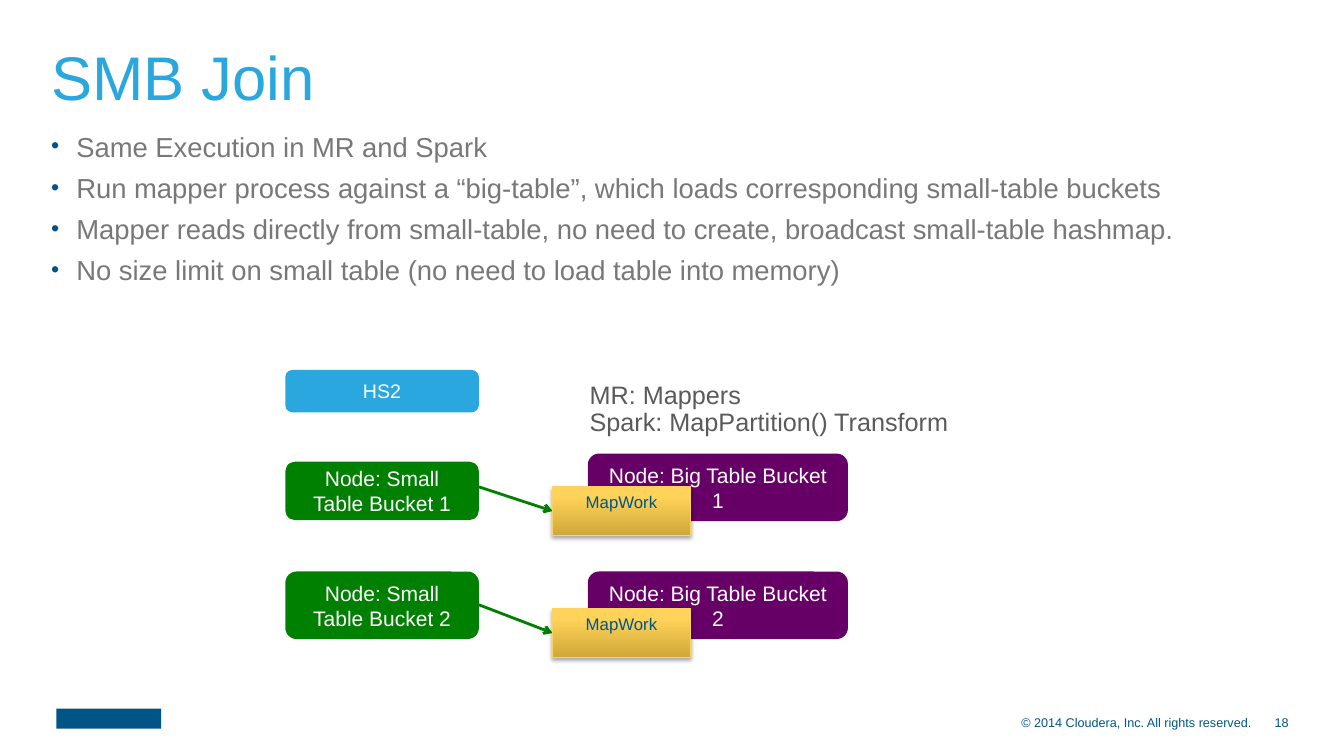
from copy import deepcopy

from lxml import etree
from pptx import Presentation
from pptx.dml.color import RGBColor
from pptx.enum.dml import MSO_LINE
from pptx.enum.shapes import MSO_CONNECTOR, MSO_SHAPE
from pptx.enum.text import MSO_ANCHOR, PP_ALIGN
from pptx.oxml.ns import qn
from pptx.util import Inches, Pt

ROUNDED, RECTANGLE = MSO_SHAPE.ROUNDED_RECTANGLE, MSO_SHAPE.RECTANGLE
STRAIGHT = MSO_CONNECTOR.STRAIGHT
SOLID = MSO_LINE.SOLID
LEFT, CENTER, RIGHT = PP_ALIGN.LEFT, PP_ALIGN.CENTER, PP_ALIGN.RIGHT
TOP, MIDDLE, BOTTOM = MSO_ANCHOR.TOP, MSO_ANCHOR.MIDDLE, MSO_ANCHOR.BOTTOM

NAVY = RGBColor(0x00, 0x55, 0x86)
SKY = RGBColor(0x29, 0xA7, 0xDE)
GREY = RGBColor(0x78, 0x78, 0x78)
DARK_GREY = RGBColor(0x5A, 0x5A, 0x5A)
GREEN = RGBColor(0x00, 0x80, 0x00)
PURPLE = RGBColor(0x66, 0x00, 0x66)
WHITE = RGBColor(0xFF, 0xFF, 0xFF)
GOLD_LINE = RGBColor(0xFD, 0xD3, 0x5E)
GOLD_STOPS = [
    (0, RGBColor(0xD0, 0xA8, 0x39)),
    (0.8, RGBColor(0xFF, 0xD3, 0x59)),
    (1, RGBColor(0xFF, 0xD4, 0x5B)),
]

BULLETS = [
    "Same Execution in MR and Spark",
    "Run mapper process against a “big-table”, which loads corresponding small-table buckets",
    "Mapper reads directly from small-table, no need to create, broadcast small-table hashmap.",
    "No size limit on small table (no need to load table into memory)",
]


def apply(target, values):
    for name, value in values.items():
        setattr(target, name, value)


def add_xml(parent, tag, **attributes):
    return etree.SubElement(parent, qn(tag), attributes)


class SlideBuilder:
    FONT = "Arial"

    def __init__(self, slide):
        self.shapes = slide.shapes

    def fill_text(self, frame, lines, size, color, align=LEFT, bullets=False,
                  paragraph_format=None, **frame_format):
        apply(frame, {"word_wrap": True, **frame_format})
        for index, line in enumerate(lines):
            paragraph = frame.add_paragraph() if index else frame.paragraphs[0]
            apply(paragraph, {"alignment": align, **(paragraph_format or {})})
            if index == 0:
                paragraph.space_before = Pt(0)
            if bullets:
                self.bullet(paragraph)
            run = paragraph.add_run()
            run.text = line
            apply(run.font, {"name": self.FONT, "size": Pt(size)})
            run.font.color.rgb = color

    def bullet(self, paragraph):
        properties = paragraph._p.get_or_add_pPr()
        properties.set("marL", str(Inches(0.25)))
        properties.set("indent", str(Inches(-0.25)))
        color = add_xml(properties, "a:buClr")
        add_xml(color, "a:srgbClr", val=str(NAVY))
        add_xml(properties, "a:buSzPct", val="85000")
        add_xml(properties, "a:buFont", typeface=self.FONT)
        add_xml(properties, "a:buChar", char="•")

    def text(self, place, lines, size, color, **text_format):
        box = self.shapes.add_textbox(*map(Inches, place))
        self.fill_text(box.text_frame, lines, size, color, **text_format)

    def plain(self, kind, place, color):
        shape = self.shapes.add_shape(kind, *map(Inches, place))
        shape.shadow.inherit = False
        shape.fill.solid()
        shape.fill.fore_color.rgb = color
        shape.line.fill.background()
        return shape

    def node(self, place, label, color, size=15):
        node = self.plain(ROUNDED, place, color)
        self.fill_text(node.text_frame, [label], size, WHITE, align=CENTER,
                       vertical_anchor=MIDDLE)

    def gold_card(self, place, label):
        card = self.plain(RECTANGLE, place, GOLD_LINE)
        card.line.color.rgb = GOLD_LINE
        card.line.width = Pt(0.75)
        # Three-stop gradient, dark at the bottom
        card.fill.gradient()
        card.fill.gradient_angle = 90
        properties = card._element.spPr
        stop_list = properties.find(".//" + qn("a:gsLst"))
        stop_list.append(deepcopy(stop_list[0]))
        for stop, (position, color) in zip(card.fill.gradient_stops, GOLD_STOPS):
            stop.position = position
            stop.color.rgb = color
        # Soft shadow below
        shadow = add_xml(properties.find(qn("a:effectLst")), "a:outerShdw",
                         blurRad=str(Pt(3.1)), dist=str(Pt(1.8)),
                         dir="5400000", rotWithShape="0")
        shade = add_xml(shadow, "a:srgbClr", val="000000")
        add_xml(shade, "a:alpha", val="35000")
        self.fill_text(card.text_frame, [label], 12, NAVY, align=CENTER,
                       vertical_anchor=TOP)

    def arrow(self, start, end, color):
        arrow = self.shapes.add_connector(STRAIGHT, *map(Inches, start + end))
        apply(arrow.line, {"width": Pt(2), "dash_style": SOLID})
        arrow.line.color.rgb = color
        properties = arrow._element.spPr
        add_xml(properties.find(qn("a:ln")), "a:tailEnd", type="arrow")
        add_xml(properties, "a:effectLst")


def main():
    presentation = Presentation()
    presentation.slide_width = Inches(13.33)
    presentation.slide_height = Inches(7.5)
    page = SlideBuilder(presentation.slides.add_slide(presentation.slide_layouts[6]))

    # Footer
    page.plain(RECTANGLE, (0.56, 7.03, 1.04, 0.2), NAVY)
    footer_format = {"align": RIGHT, "vertical_anchor": MIDDLE, "margin_left": 0,
                     "margin_right": 0, "margin_top": 0, "margin_bottom": 0}
    page.text((12.41, 7.06, 0.37, 0.22), ["18"], 9, NAVY, **footer_format)
    page.text((8.19, 7.06, 4.22, 0.22),
              ["© 2014 Cloudera, Inc. All rights reserved."], 9, NAVY, **footer_format)

    # Title and bullets
    page.text((0.41, 0.3, 12.37, 0.87), ["SMB Join"], 44, SKY, vertical_anchor=BOTTOM)
    page.text((0.41, 1.32, 12.37, 2.01), BULLETS, 19.6, GREY, bullets=True,
              paragraph_format={"line_spacing": 0.74, "space_before": Pt(12)})

    # Diagram heading
    page.node((2.83, 3.67, 1.92, 0.42), "HS2", SKY, size=14)
    page.text((5.75, 3.75, 3.79, 0.65),
              ["MR: Mappers", "Spark: MapPartition() Transform"], 18, DARK_GREY,
              paragraph_format={"line_spacing": 0.9}, word_wrap=False)

    # Bucket rows: small top and height, big top, arrow start, card top, arrow end
    bucket_rows = [
        (4.58, 0.58, 4.5, 4.83, 4.83, 5.07),
        (5.67, 0.67, 5.67, 6, 6.04, 6.28),
    ]
    for number, row in enumerate(bucket_rows, 1):
        small_top, small_height, big_top, arrow_start, card_top, arrow_end = row
        page.node((2.83, small_top, 1.92, small_height),
                  f"Node: Small Table Bucket {number}", GREEN)
        page.node((5.83, big_top, 2.58, 0.67),
                  f"Node: Big Table Bucket {number}", PURPLE)
        page.arrow((4.75, arrow_start), (5.48, arrow_end), GREEN)
        page.gold_card((5.48, card_top, 1.37, 0.48), "MapWork")

    presentation.save("out.pptx")


if __name__ == "__main__":
    main()
